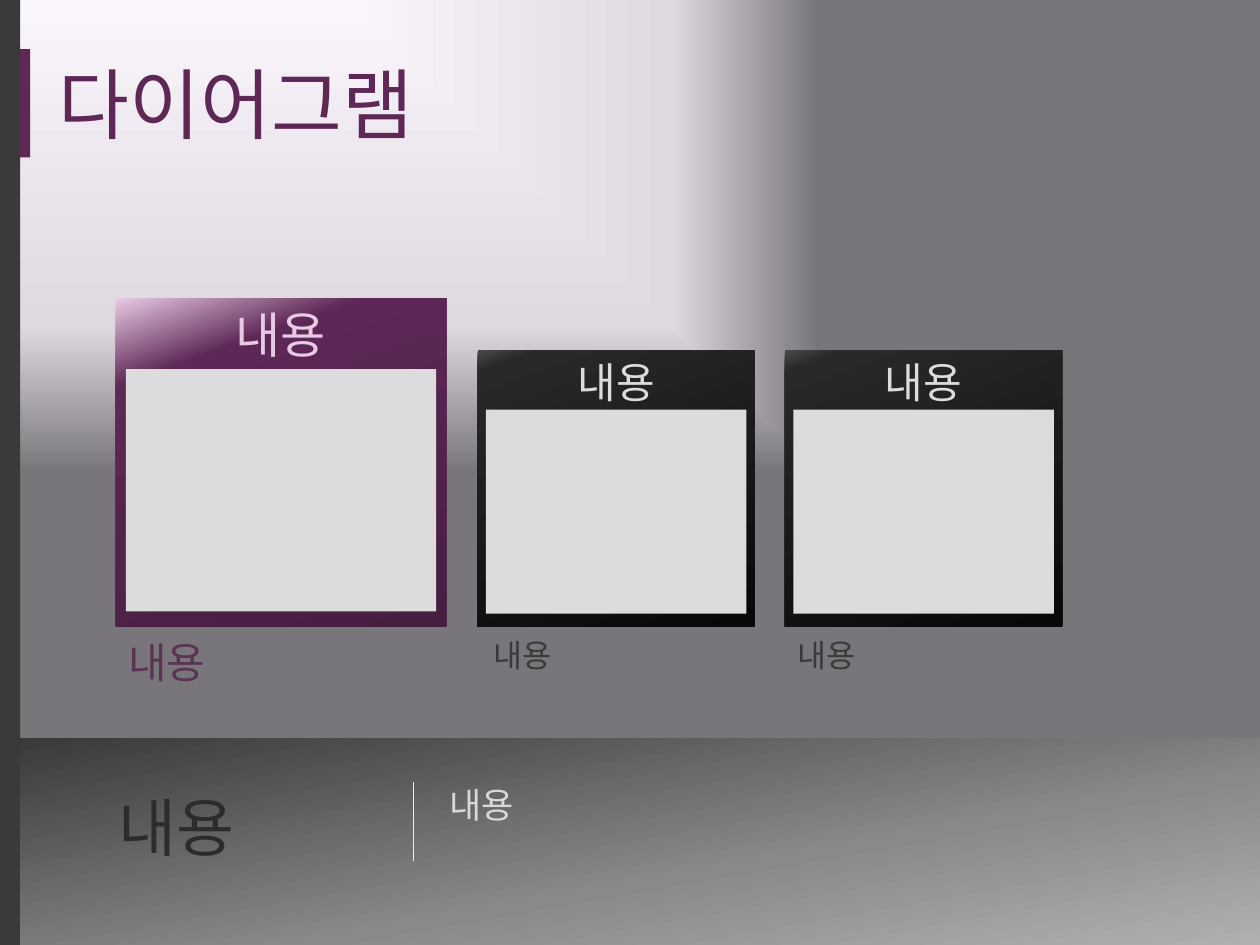
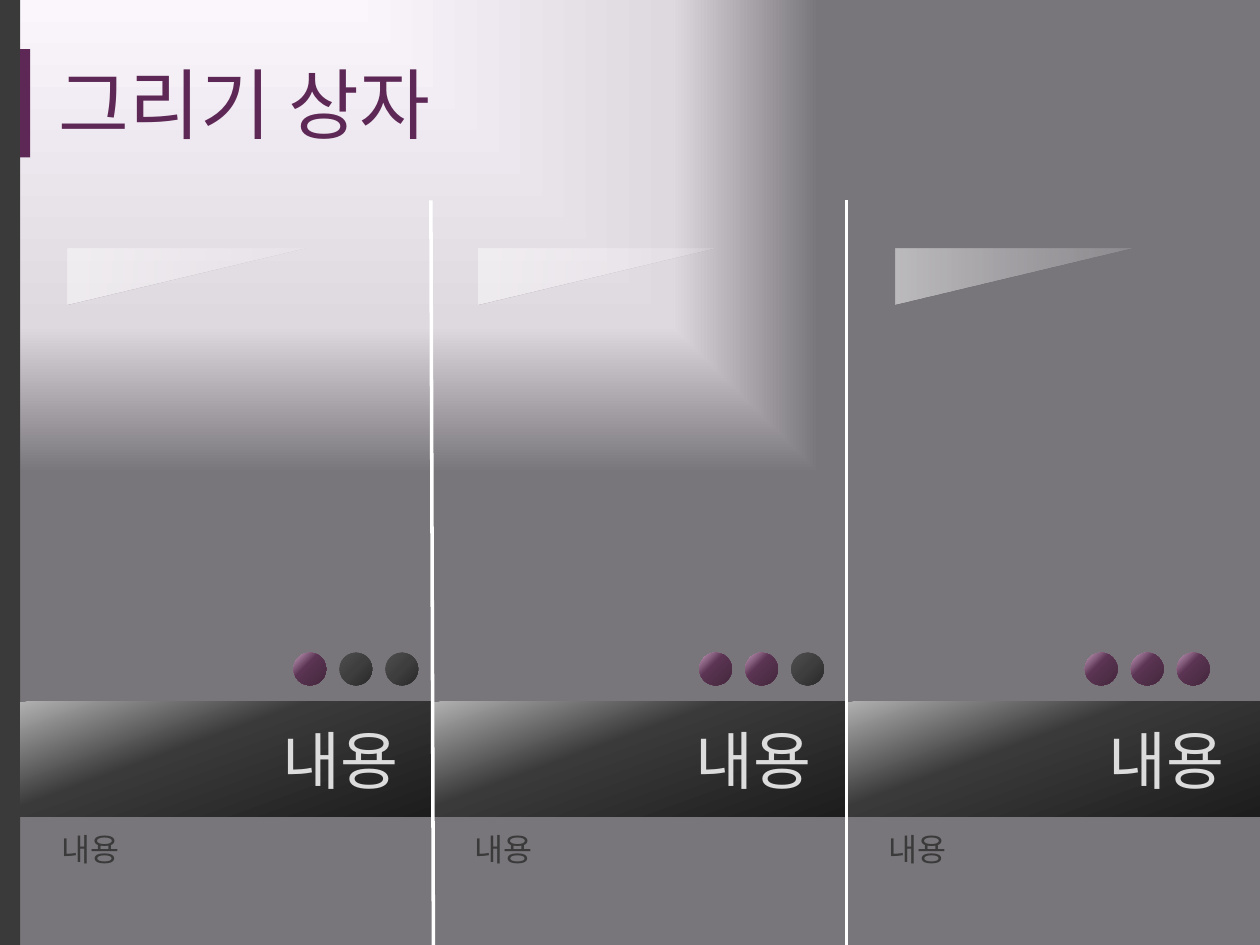
from dataclasses import dataclass

from lxml import etree
from pptx import Presentation, util as u
from pptx.dml.color import RGBColor
from pptx.enum import shapes, text
from pptx.oxml import ns

COLUMNS, ROWS = 100, 75
CELL = u.Inches(0.1)
FONT = "Arial"
RAIL, PLUM, PANEL, WHITE = "3A3A3A", "5E2856", "DCDCDC", "FFFFFF"
RAIL_WIDTH = 1.6
LABEL = "내용"

BACKDROP = [(0, "FAF6FC"), (69, "DED8DF"), (100, "79767B")]
PLUM_FRAME = [(0, "E9CAE4"), (20, PLUM), (100, "461E40")]
BLACK_FRAME = [(0, "4A4A4A"), (6, "292929"), (100, "080808")]
FOOTER_BAND = [(0, "B0B0B0"), (40, "898989"), (100, RAIL)]
COLUMN_BAND = [(0, "B0B0B0"), (40, RAIL), (100, "1D1D1D")]
DOT_ON = [(0, "C9A2C1"), (40, "5A3452"), (100, "44273D")]
DOT_OFF = [(0, "4E4E4E"), (50, "3E3E3E"), (100, "292929")]
GLINT = [(0, WHITE, 15), (50, WHITE, 30), (100, WHITE, 50)]


@dataclass
class Box:
    left: float
    top: float
    width: float
    height: float

    def cells(self, left, top, width, height):
        return Box(self.left + left, self.top + top, width, height)

    def share(self, left, top, width, height):
        return self.cells(left * self.width, top * self.height,
                          width * self.width, height * self.height)

    def lengths(self):
        return [cells(n) for n in (self.left, self.top, self.width, self.height)]


PAGE = Box(0, 0, COLUMNS, ROWS)


def cells(count):
    return u.Emu(round(count * CELL))


def color(value):
    return RGBColor.from_string(value)


def add_element(parent, name, **attributes):
    element = etree.SubElement(parent, ns.qn(name))
    for key, value in attributes.items():
        element.set(key, str(value))
    return element


def paint_gradient(fill, properties, stops, angle=None, focus=None):
    fill.gradient()
    gradient = properties.find(".//" + ns.qn("a:gradFill"))
    for child in list(gradient):
        gradient.remove(child)
    gradient.set("rotWithShape", "1")
    stop_list = add_element(gradient, "a:gsLst")
    for position, value, *opacity in stops:
        stop = add_element(stop_list, "a:gs", pos=position * 1000)
        tint = add_element(stop, "a:srgbClr", val=value)
        for percent in opacity:
            add_element(tint, "a:alpha", val=percent * 1000)
    if focus:
        path_element = add_element(gradient, "a:path", path="rect")
        sides = {side: share * 1000 for side, share in zip("ltrb", focus)}
        add_element(path_element, "a:fillToRect", **sides)
    else:
        add_element(gradient, "a:lin", ang=angle * 60000, scaled=0)


def add_block(slide, box, fill, angle=70, kind=shapes.MSO_SHAPE.RECTANGLE):
    shape = slide.shapes.add_shape(kind, *box.lengths())
    shape.shadow.inherit = False
    shape.line.fill.background()
    if isinstance(fill, str):
        shape.fill.solid()
        shape.fill.fore_color.rgb = color(fill)
    else:
        paint_gradient(shape.fill, shape._element.spPr, fill, angle)
    return shape


def write(shape, words, size, value, align=text.PP_ALIGN.LEFT,
          anchor=text.MSO_ANCHOR.TOP, insets=(1, 0.5, 1, 0.5)):
    frame = shape.text_frame
    frame.word_wrap = True
    frame.vertical_anchor = anchor
    (frame.margin_left, frame.margin_top,
     frame.margin_right, frame.margin_bottom) = map(cells, insets)
    paragraph = frame.paragraphs[0]
    paragraph.alignment = align
    run = paragraph.add_run()
    run.text = words
    run.font.name = FONT
    run.font.size = u.Pt(size)
    run.font.color.rgb = color(value)


def add_text(slide, box, words, size, value, grow=True, **layout):
    shape = slide.shapes.add_textbox(*box.lengths())
    write(shape, words, size, value, **layout)
    if grow:
        shape.text_frame.auto_size = text.MSO_AUTO_SIZE.SHAPE_TO_FIT_TEXT
    return shape


def add_rule(slide, start, end, value, weight):
    rule = slide.shapes.add_connector(
        shapes.MSO_CONNECTOR.STRAIGHT, *map(cells, start + end))
    rule.line.color.rgb = color(value)
    rule.line.width = u.Pt(weight)
    add_element(rule._element.spPr, "a:effectLst")


def add_page(presentation, title):
    slide = presentation.slides.add_slide(presentation.slide_layouts[6])
    paint_gradient(slide.background.fill, slide._element.cSld, BACKDROP,
                   focus=(0, -50, 70, 180))
    add_block(slide, PAGE.cells(0, 0, RAIL_WIDTH, ROWS), RAIL)
    add_block(slide, PAGE.cells(RAIL_WIDTH, 3.9, 0.8, 8.6), PLUM)
    add_text(slide, PAGE.cells(3.7, 3, 71.3, 10.3), title, 44, PLUM,
             grow=False, anchor=text.MSO_ANCHOR.MIDDLE)
    return slide


def add_frame(slide, box, fill, heading, caption, caption_shift):
    header = add_block(slide, box, fill)
    write(header, LABEL, *heading, align=text.PP_ALIGN.CENTER)
    add_block(slide, box.share(0.03, 0.215, 0.94, 0.74), PANEL)
    place = box.cells(caption_shift, box.height + 0.3, box.width - 0.2, 4)
    add_text(slide, place, LABEL, *caption)


def add_summary(slide, box):
    add_block(slide, box, FOOTER_BAND, angle=260)
    add_text(slide, box.cells(7.8, 4, 21.6, 6), LABEL, 36, "2C2C2C",
             anchor=text.MSO_ANCHOR.MIDDLE, insets=(0, 0, 0, 0))
    rule_left = box.left + 31.2
    add_rule(slide, (rule_left, box.top + 3.5), (rule_left, box.top + 9.7),
             "EBEBEB", 0.75)
    add_text(slide, box.cells(33.1, 3.1, 58.3, 7.7), LABEL, 20, "D8D8D8")


def build_diagram(presentation):
    slide = add_page(presentation, "다이어그램")
    base = 49.7
    for left, caption_shift in ((37.9, 0.3), (62.3, 0)):
        add_frame(slide, Box(left, base - 21.9, 22, 21.9), BLACK_FRAME,
                  (24, PANEL), (18, RAIL), caption_shift)
    add_frame(slide, Box(9.2, base - 26, 26.2, 26), PLUM_FRAME,
              (28, "E9CAE4"), (24, "5A3452"), 0)
    add_summary(slide, Box(RAIL_WIDTH, 58.6, COLUMNS - RAIL_WIDTH, 16.4))


def add_column(slide, box, level, dots_left, glint_left):
    glint_width, glint_height = 18.8, 4.5
    turn = (glint_width - glint_height) / 2
    glint = add_block(
        slide, box.cells(glint_left + turn, 3.8 - turn, glint_height, glint_width),
        GLINT, angle=90, kind=shapes.MSO_SHAPE.RIGHT_TRIANGLE)
    glint.rotation = 90
    for index in range(3):
        add_block(slide, box.cells(dots_left + index * 3.65, 35.9, 2.6, 2.6),
                  DOT_ON if index < level else DOT_OFF, angle=45,
                  kind=shapes.MSO_SHAPE.OVAL)
    band = add_block(slide, box.cells(0, 39.8, box.width, 9.1), COLUMN_BAND)
    write(band, LABEL, 36, PANEL, align=text.PP_ALIGN.RIGHT,
          anchor=text.MSO_ANCHOR.MIDDLE, insets=(1, 0.5, 2.8, 0.5))
    add_text(slide, box.cells(2.3, 49.5, 28.1, 7.1), LABEL, 18, RAIL)


def build_drawing_boxes(presentation):
    slide = add_page(presentation, "그리기 상자")
    top, width = 15.9, (COLUMNS - RAIL_WIDTH) / 3
    placements = ((21.7, 3.8), (21.1, 3.6), (18.9, 3.9))
    for index, (dots_left, glint_left) in enumerate(placements):
        box = Box(RAIL_WIDTH + index * width, top, width, ROWS - top)
        add_column(slide, box, index + 1, dots_left, glint_left)
    for index, lean in ((1, 0.2), (2, 0)):
        left = RAIL_WIDTH + index * width
        add_rule(slide, (left, ROWS), (left - lean, top), WHITE, 2)


def main():
    presentation = Presentation()
    presentation.slide_width = cells(COLUMNS)
    presentation.slide_height = cells(ROWS)
    build_diagram(presentation)
    build_drawing_boxes(presentation)
    presentation.save("out.pptx")


if __name__ == "__main__":
    main()
